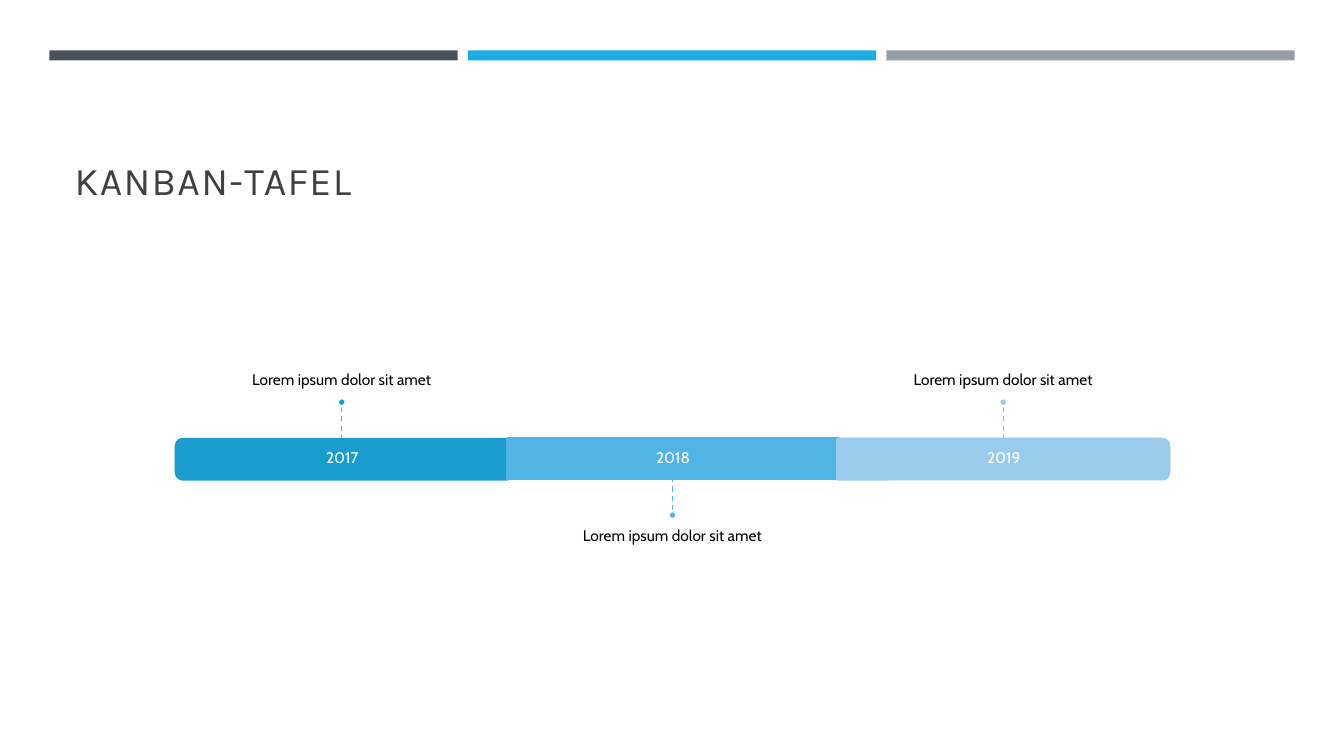
from dataclasses import dataclass

from lxml import etree
from pptx import Presentation
from pptx.dml.color import RGBColor
from pptx.enum.dml import MSO_LINE
from pptx.enum.shapes import MSO_CONNECTOR, MSO_SHAPE
from pptx.enum.text import MSO_ANCHOR, PP_ALIGN
from pptx.oxml.ns import qn
from pptx.util import Emu, Pt

RECT, OVAL = MSO_SHAPE.RECTANGLE, MSO_SHAPE.OVAL
ROUND_END = MSO_SHAPE.ROUND_2_SAME_RECTANGLE
STRAIGHT, DASH = MSO_CONNECTOR.STRAIGHT, MSO_LINE.DASH
TOP, MIDDLE, BOTTOM = MSO_ANCHOR.TOP, MSO_ANCHOR.MIDDLE, MSO_ANCHOR.BOTTOM
LEFT, CENTER = PP_ALIGN.LEFT, PP_ALIGN.CENTER
PX = 9144  # 100 px to the inch


@dataclass(frozen=True)
class Theme:
    title_font: str = "Karla"
    body_font: str = "Cabin"
    title_size: int = 28
    body_size: int = 11
    title: str = "404040"
    text: str = "000000"
    white: str = "FFFFFF"
    bands: tuple = ("465359", "1CADE4", "969FA7")
    segments: tuple = ("199DCF", "52B3E5", "99CBEC")
    stems: tuple = ("36B3E9", "48B8EC", "5ABEEF")


class SlideBuilder:
    def __init__(self, s, theme):
        self.s, self.theme = s, theme

    @staticmethod
    def px(*lengths):
        return [Emu(n * PX) for n in lengths]

    def title(self, text, x, y, w, h):
        sp = self.s.shapes.title
        sp.left, sp.top, sp.width, sp.height = self.px(x, y, w, h)
        tf = sp.text_frame
        tf.vertical_anchor = BOTTOM
        p = tf.paragraphs[0]
        p.alignment = LEFT
        t = self.theme
        r = self.run(p, text, t.title_font, t.title_size, t.title)
        r.font._element.set("spc", "100")

    def run(self, p, text, font, size, color):
        r = p.add_run()
        r.text = text
        r.font.name, r.font.size = font, Pt(size)
        r.font.color.rgb = RGBColor.from_string(color)
        return r

    def text(self, text, x, y, w, h, color, anchor, insets):
        tf = self.s.shapes.add_textbox(*self.px(x, y, w, h)).text_frame
        tf.word_wrap = True
        tf.vertical_anchor = anchor
        (tf.margin_left, tf.margin_top,
         tf.margin_right, tf.margin_bottom) = self.px(*insets)
        p = tf.paragraphs[0]
        p.alignment, p.line_spacing, p.space_after = CENTER, 0.9, Pt(4)
        self.run(p, text, self.theme.body_font, self.theme.body_size, color)

    def shape(self, kind, x, y, w, h, fill, line=None, rotation=0):
        sp = self.s.shapes.add_shape(kind, *self.px(x, y, w, h))
        sp.shadow.inherit = False
        sp.rotation = rotation
        sp.fill.solid()
        sp.fill.fore_color.rgb = RGBColor.from_string(fill)
        if line:
            sp.line.color.rgb = RGBColor.from_string(line)
            sp.line.width = Pt(1.75)
        else:
            sp.line.fill.background()

    def dashed_line(self, x1, y1, x2, y2, color):
        c = self.s.shapes.add_connector(STRAIGHT, *self.px(x1, y1, x2, y2))
        c.line.color.rgb = RGBColor.from_string(color)
        c.line.width, c.line.dash_style = Pt(1), DASH
        etree.SubElement(c._element.spPr, qn("a:effectLst"))


def main():
    prs = Presentation()
    prs.slide_width, prs.slide_height = SlideBuilder.px(1333, 750)
    theme = Theme()
    b = SlideBuilder(prs.slides.add_slide(prs.slide_layouts[5]), theme)

    # Header bands and title
    for i, color in enumerate(theme.bands):
        b.shape(RECT, 49 + 415 * i, 50, 405, 10, color)
    b.title("KANBAN-TAFEL", 64, 77, 1206, 130)

    # Timeline: segments touch, labels alternate above and below
    bar_top, bar_w, bar_h = 435, 329, 40
    stem, dot, label_w, label_h = 32, 8, 548, 139
    caption = "Lorem ipsum dolor sit amet"
    ends = {0: 270, 2: 90}  # rotation of the rounded end pieces
    for i, year in enumerate(("2017", "2018", "2019")):
        color = theme.segments[i]
        cx = 667 + 328 * (i - 1)
        bar_left = cx - bar_w // 2

        # Segment and year
        if i in ends:
            shift = (bar_w - bar_h) // 2
            b.shape(ROUND_END, bar_left + shift, bar_top - shift, bar_h, bar_w,
                    color, color, ends[i])
        else:
            b.shape(RECT, bar_left, bar_top, bar_w, bar_h, color, color)
        b.text(year, bar_left, bar_top, bar_w, bar_h, theme.white, MIDDLE,
               (9, 9, 9, 9))

        # Caption, stem and dot
        if i % 2:
            start, end = bar_top + bar_h, bar_top + bar_h + stem
            dot_top = end
            label_top, anchor, insets = end + dot, TOP, (0, 9, 0, 0)
        else:
            start, end = bar_top, bar_top - stem
            dot_top = end - dot
            label_top, anchor, insets = dot_top - label_h, BOTTOM, (0, 0, 0, 9)
        b.text(caption, cx - label_w // 2, label_top, label_w, label_h,
               theme.text, anchor, insets)
        b.dashed_line(cx, end, cx, start, theme.stems[i])
        b.shape(OVAL, cx - dot // 2, dot_top, dot, dot, color, theme.white)

    prs.save("out.pptx")


if __name__ == "__main__":
    main()
